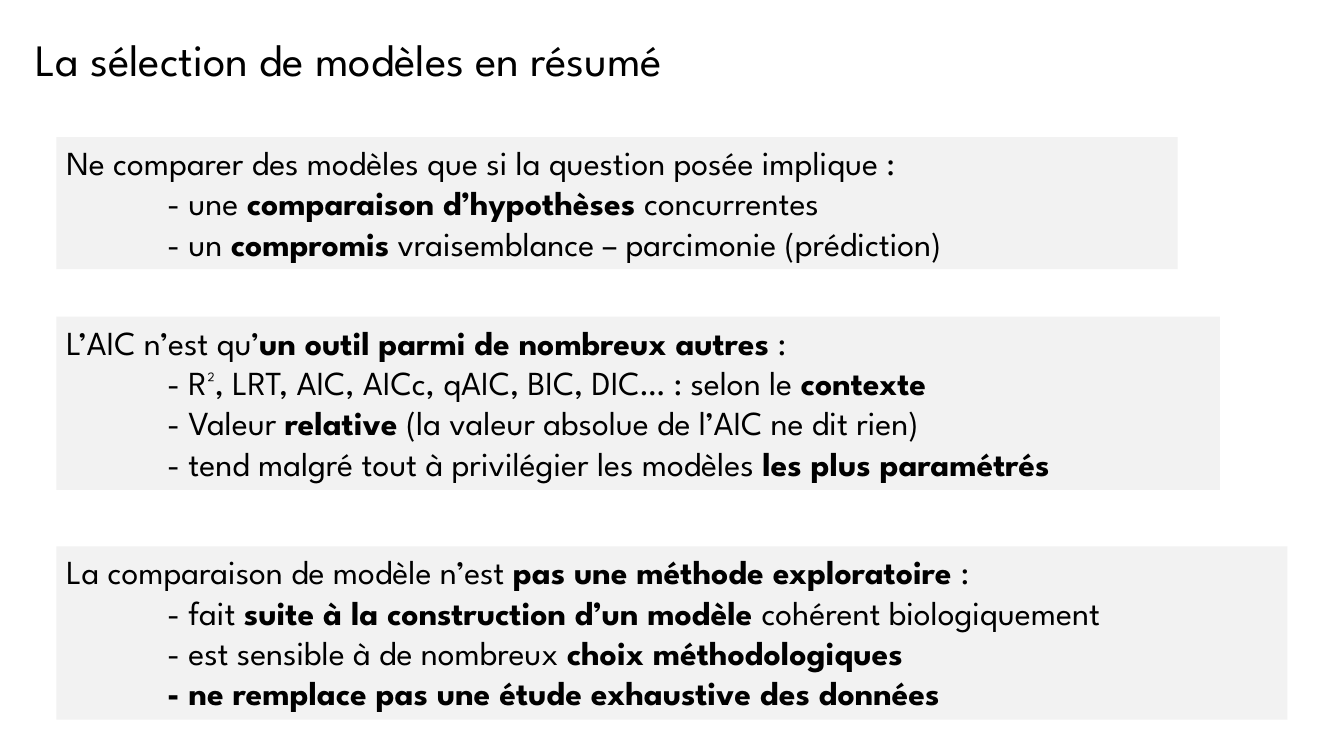
from pptx import Presentation
from pptx.dml.color import RGBColor
from pptx.enum.shapes import MSO_SHAPE
from pptx.enum.text import MSO_ANCHOR, MSO_AUTO_SIZE, PP_ALIGN
from pptx.util import Inches, Pt

RECT = MSO_SHAPE.RECTANGLE
TOP = MSO_ANCHOR.TOP
GROW = MSO_AUTO_SIZE.SHAPE_TO_FIT_TEXT
LEFT = PP_ALIGN.LEFT

FONT = "League Spartan"
COLORS = {"text": "000000", "panel": "F2F2F2"}
PANEL_LEFT = 0.56

# Top, width, height and lines of each panel; ** switches bold on and off
PANELS = [
    (1.36, 11.12, 1.31, [
        "Ne comparer des modèles que si la question posée implique :",
        "- une **comparaison d’hypothèses **concurrentes",
        "- un **compromis** vraisemblance – parcimonie (prédiction)",
    ]),
    (3.14, 11.54, 1.72, [
        "L’AIC n’est qu’**un outil parmi de nombreux autres** :",
        "- R², LRT, AIC, AICc, qAIC, BIC, DIC… : selon le **contexte**",
        "- Valeur **relative** (la valeur absolue de l’AIC ne dit rien)",
        "- tend malgré tout à privilégier les modèles **les plus paramétrés**",
    ]),
    (5.42, 12.21, 1.72, [
        "La comparaison de modèle n’est **pas une méthode exploratoire **:",
        "- fait **suite à la construction d’un modèle **cohérent biologiquement",
        "- est sensible à de nombreux **choix méthodologiques**",
        "**- ne remplace pas une étude exhaustive des données**",
    ]),
]


def add_runs(p, text, size):
    p.alignment = LEFT
    for i, part in enumerate(text.split("**")):
        if part:
            r = p.add_run()
            r.text = part
            r.font.name = FONT
            r.font.size = Pt(size)
            r.font.bold = i % 2 == 1
            r.font.color.rgb = RGBColor.from_string(COLORS["text"])


def setup_frame(tf):
    tf.word_wrap = True
    tf.auto_size = GROW
    tf.vertical_anchor = TOP


def add_title(s, left, top, width, height, text):
    sp = s.shapes.title
    sp.left, sp.top = Inches(left), Inches(top)
    sp.width, sp.height = Inches(width), Inches(height)
    setup_frame(sp.text_frame)
    add_runs(sp.text_frame.paragraphs[0], text, 32)


def add_panel(s, left, top, width, height, lines):
    sp = s.shapes.add_shape(RECT, Inches(left), Inches(top),
                            Inches(width), Inches(height))
    sp.shadow.inherit = False
    sp.fill.solid()
    sp.fill.fore_color.rgb = RGBColor.from_string(COLORS["panel"])
    sp.line.fill.background()
    tf = sp.text_frame
    setup_frame(tf)
    for i, line in enumerate(lines):
        p = tf.add_paragraph() if i else tf.paragraphs[0]
        if i:
            # Points are indented under the opening statement
            pPr = p._p.get_or_add_pPr()
            pPr.set("marL", str(Inches(1)))
            pPr.set("indent", "0")
        add_runs(p, line, 24)


def main():
    prs = Presentation()
    prs.slide_width, prs.slide_height = Inches(13.33), Inches(7.5)
    s = prs.slides.add_slide(prs.slide_layouts[5])

    # Title
    add_title(s, 0.25, 0.26, 8.38, 0.64, "La sélection de modèles en résumé")

    # Summary panels
    for top, width, height, lines in PANELS:
        add_panel(s, PANEL_LEFT, top, width, height, lines)

    prs.save("out.pptx")


if __name__ == "__main__":
    main()
